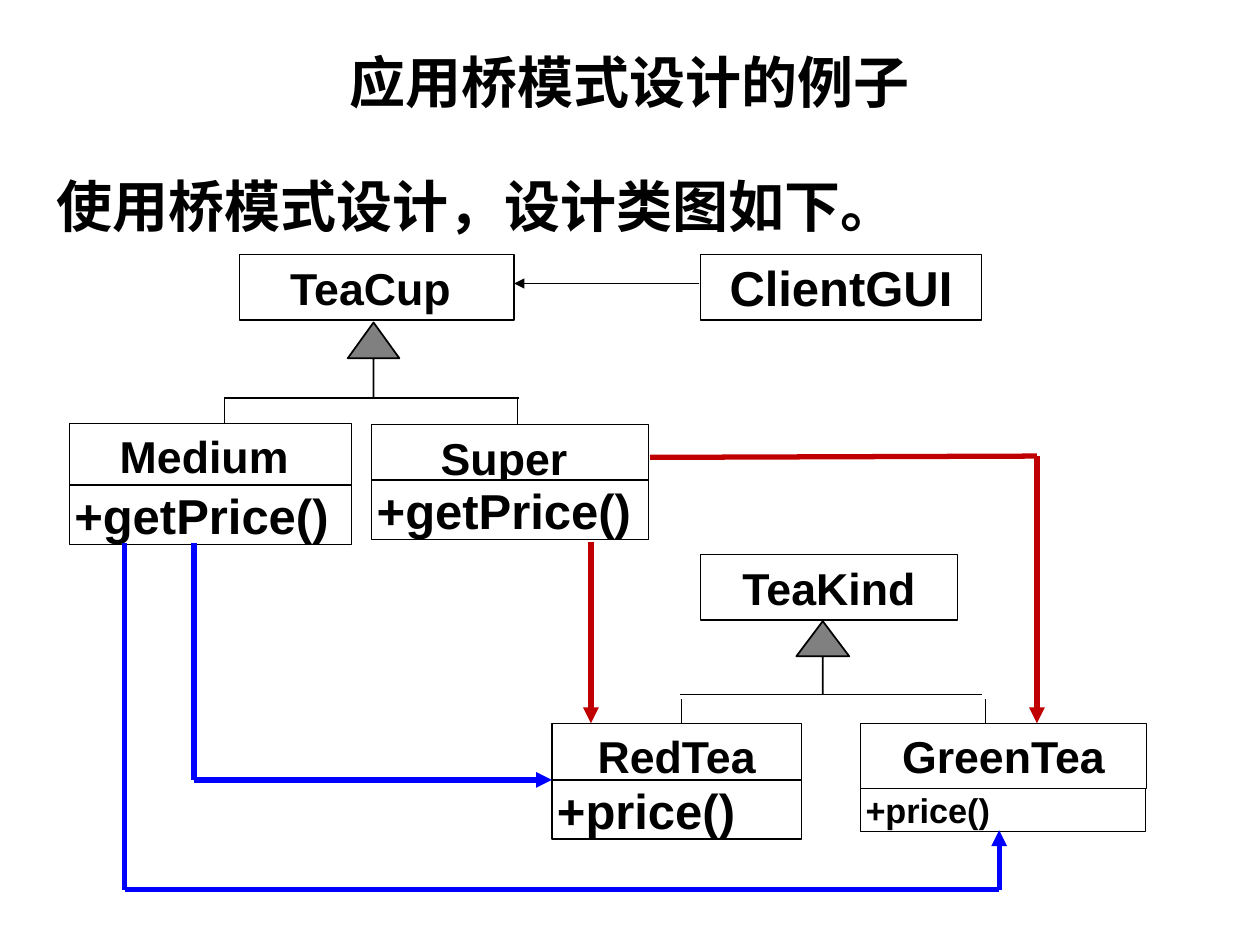
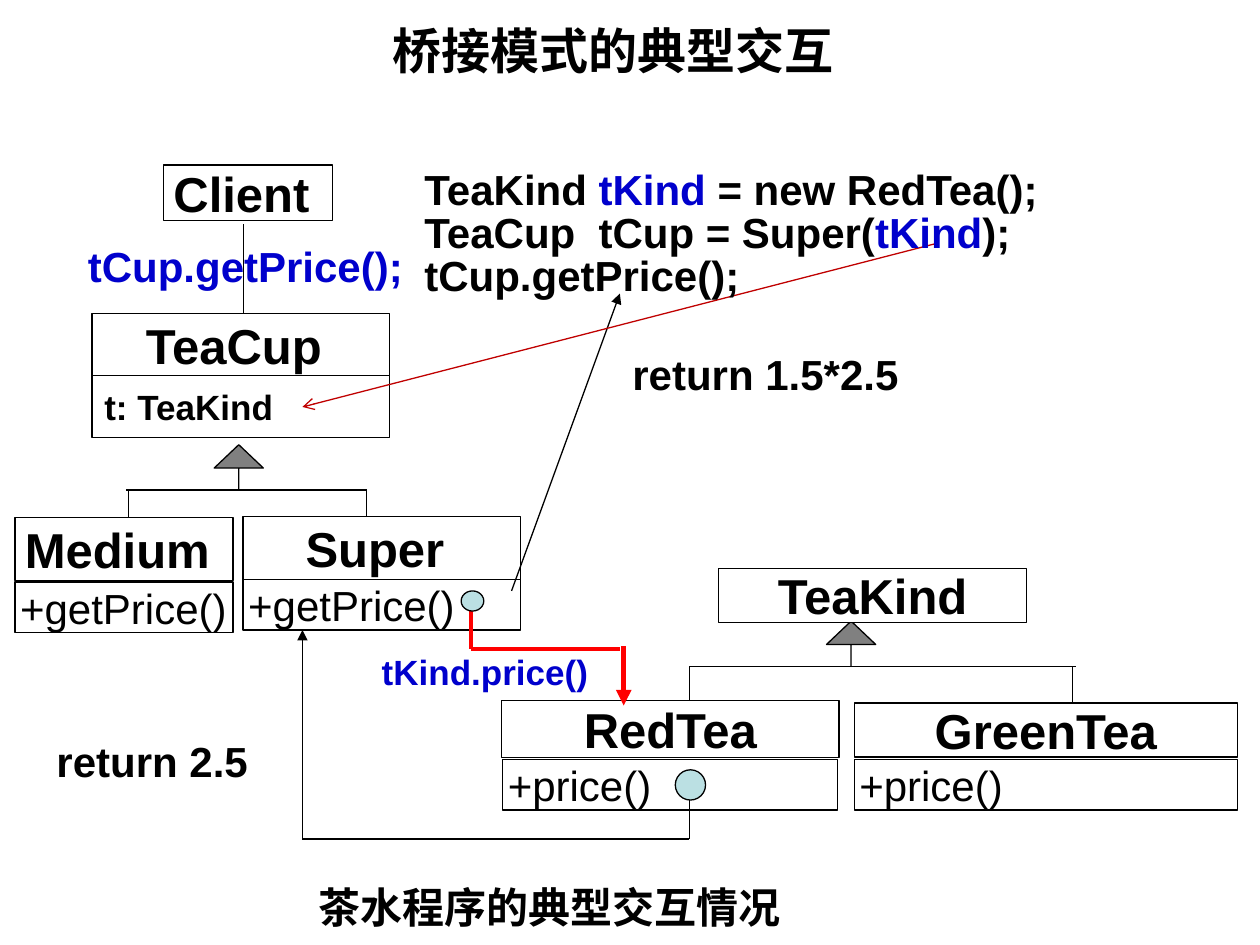
from itertools import pairwise

from lxml.etree import SubElement
from pptx import Presentation
from pptx.dml.color import RGBColor
from pptx.enum.shapes import MSO_CONNECTOR, MSO_SHAPE
from pptx.enum.text import MSO_ANCHOR, PP_ALIGN
from pptx.oxml.ns import qn
from pptx.util import Inches, Pt

BLACK, WHITE, GREY, PALE = "000000", "FFFFFF", "808080", "BBE0E3"
BLUE, NAVY, DARK_RED, RED = "0000FF", "0000CC", "C00000", "FF0000"
LATIN, CJK = "Arial", "Noto Sans CJK SC"

# Text formats: size, bold, align, anchor, insets (side, top), wrap
BASE = dict(size=24, bold=True, align=PP_ALIGN.LEFT, anchor=MSO_ANCHOR.TOP,
            insets=(0.1, 0.05), wrap=True, color=BLACK, font=LATIN, spacing=1.0)
CENTER = dict(align=PP_ALIGN.CENTER, anchor=MSO_ANCHOR.MIDDLE)
METHOD = dict(anchor=MSO_ANCHOR.MIDDLE, insets=(0.04, 0))
DESIGN_HEAD = dict(CENTER, size=25.5, insets=(0.05, 0.03))
DESIGN_METHOD = dict(METHOD, size=28)
CALL_HEAD = dict(CENTER, size=28, wrap=False)
CALL_METHOD = dict(METHOD, bold=False)

# Boxes: text, (left, top, width, height), format
DESIGN = dict(
    trees=[  # arrow frame, tip ratio, arrow line, bar (left, right), drops, drop top, bottom
        ((2.76, 2.56, 0.41, 0.6), 0.693, 1, (1.78, 4.12), (1.78, 4.11), 3.16, 3.5),
        ((6.32, 4.93, 0.42, 0.58), 0.664, 1, (5.4, 7.79), (5.41, 7.82), 5.55, 5.9),
    ],
    under=[],
    boxes=[
        ("TeaCup ", (1.9, 2.02, 2.18, 0.52), DESIGN_HEAD),
        ("ClientGUI", (5.56, 2.02, 2.23, 0.52), dict(DESIGN_HEAD, size=28)),
        ("Super ", (2.95, 3.37, 2.2, 0.52), DESIGN_HEAD),
        ("Medium ", (0.55, 3.36, 2.24, 0.52), DESIGN_HEAD),
        ("TeaKind", (5.56, 4.4, 2.04, 0.52), DESIGN_HEAD),
        ("RedTea", (4.38, 5.74, 1.98, 0.52), DESIGN_HEAD),
        ("GreenTea", (6.83, 5.74, 2.27, 0.52), DESIGN_HEAD),
        ("+getPrice()", (0.55, 3.85, 2.24, 0.47), DESIGN_METHOD),
        ("+getPrice()", (2.95, 3.81, 2.2, 0.47), DESIGN_METHOD),
        ("+price()", (4.38, 6.19, 1.98, 0.47), DESIGN_METHOD),
        ("+price()", (6.83, 6.26, 2.26, 0.34), dict(METHOD, size=19.6)),
    ],
    paths=[  # points, colour, width, arrowhead at the last point
        ([(5.55, 2.25), (4.08, 2.25)], BLACK, 0.75, "triangle"),
        ([(1.54, 4.31), (1.54, 6.19), (4.38, 6.19)], BLUE, 3, "triangle"),
        ([(0.99, 4.31), (0.99, 7.06), (7.93, 7.06), (7.93, 6.59)], BLUE, 3, "triangle"),
        ([(5.16, 3.63), (8.23, 3.62), (8.23, 5.74)], DARK_RED, 3, "triangle"),
        ([(4.69, 4.3), (4.69, 5.74)], DARK_RED, 3, "triangle"),
    ],
    dots=[],
    texts=[
        ("应用桥模式设计的例子", (0.5, 0.3, 9, 0.69), dict(CENTER, size=32)),
        ("使用桥模式设计，设计类图如下。", (0.35, 1.31, 6.85, 0.64), dict(size=32, font=CJK)),
    ],
)

CODE = [
    [("TeaKind ", BLACK), ("tKind", NAVY), (" = new RedTea();", BLACK)],
    [("TeaCup  tCup = Super(", BLACK), ("tKind", NAVY), (");", BLACK)],
    [("tCup.getPrice();", BLACK)],
]

INTERACTION = dict(
    trees=[
        ((1.7, 3.53, 0.39, 0.36), 0.515, 0.75, (1, 2.91), (1.02, 2.91), 3.9, 4.15),
        ((6.56, 4.93, 0.39, 0.36), 0.515, 0.75, (5.47, 8.54), (5.47, 8.51), 5.29, 5.58),
    ],
    under=[([(1.93, 1.78), (1.93, 2.88)], BLACK, 0.75, "triangle")],
    boxes=[
        ("Client ", (1.3, 1.31, 1.34, 0.44), CALL_HEAD),
        ("TeaKind", (5.7, 4.51, 2.45, 0.43), CALL_HEAD),
        ("RedTea", (3.98, 5.56, 2.68, 0.45), CALL_HEAD),
        ("GreenTea", (6.78, 5.58, 3.04, 0.43), CALL_HEAD),
        ("TeaCup ", (0.73, 2.49, 2.36, 0.49), CALL_HEAD),
        ("t: TeaKind", (0.73, 2.98, 2.36, 0.49), dict(size=20, anchor=MSO_ANCHOR.MIDDLE)),
        ("Super ", (1.93, 4.1, 2.2, 0.5), CALL_HEAD),
        ("Medium ", (0.12, 4.11, 1.73, 0.5), CALL_HEAD),
        ("+getPrice()", (0.12, 4.62, 1.73, 0.4), CALL_METHOD),
        ("+getPrice()", (1.93, 4.6, 2.2, 0.4), CALL_METHOD),
        ("+price()", (3.99, 6.03, 2.66, 0.4), CALL_METHOD),
        ("+price()", (6.78, 6.03, 3.04, 0.4), CALL_METHOD),
    ],
    paths=[
        ([(3.74, 4.77), (3.74, 5.15), (4.92, 5.15)], RED, 2.5, None),
        ([(4.95, 5.13), (4.95, 5.6)], RED, 3, "triangle"),
        ([(5.47, 6.27), (5.47, 6.66), (2.4, 6.66), (2.4, 5)], BLACK, 0.75, "triangle"),
        ([(4.06, 4.69), (4.92, 2.33)], BLACK, 0.75, "triangle"),
        ([(7.44, 1.93), (2.4, 3.23)], DARK_RED, 0.75, "arrow"),
    ],
    dots=[(3.66, 4.69, 0.18, 0.16), (5.36, 6.11, 0.24, 0.24)],
    texts=[
        ("桥接模式的典型交互", (3.02, 0.11, 3.94, 0.57), dict(size=28, font=CJK)),
        (CODE, (3.27, 1.31, 6.42, 1.12), dict(spacing=0.85)),
        ("tCup.getPrice();", (0.6, 1.86, 2.7, 0.5), dict(color=NAVY, wrap=False)),
        ("tKind.price()", (3.03, 5.16, 1.73, 0.33), dict(size=20, color=NAVY, insets=(0, 0))),
        ("return 2.5", (0.35, 5.79, 1.97, 0.5), {}),
        ("return 1.5*2.5", (4.92, 2.72, 2.52, 0.5), {}),
        ("茶水程序的典型交互情况", (0.9, 7, 6.93, 0.4),
         dict(align=PP_ALIGN.CENTER, insets=(0, 0))),
    ],
)


def rgb(color):
    return RGBColor.from_string(color)


def inches(values):
    return [Inches(value) for value in values]


def set_all(target, values):
    for name, value in values.items():
        setattr(target, name, value)


def write(box, content, changes):
    """Fill a box with one string, or with lines of (text, colour) spans."""
    style = {**BASE, **changes}
    lines = [[(content, style["color"])]] if isinstance(content, str) else content
    side, top = inches(style["insets"])
    frame = box.text_frame
    set_all(frame, dict(word_wrap=style["wrap"], vertical_anchor=style["anchor"],
                        margin_left=side, margin_right=side,
                        margin_top=top, margin_bottom=top))
    for number, line in enumerate(lines):
        para = frame.add_paragraph() if number else frame.paragraphs[0]
        set_all(para, dict(alignment=style["align"], line_spacing=style["spacing"]))
        for text, color in line:
            span = para.add_run()
            span.text = text
            set_all(span.font, dict(size=Pt(style["size"]), bold=style["bold"],
                                    name=style["font"]))
            span.font.color.rgb = rgb(color)
            SubElement(span.font._element, qn("a:ea"), typeface=CJK)


def add_outlined(page, kind, frame, fill, width=0.75):
    shape = page.shapes.add_shape(kind, *inches(frame))
    shape.shadow.inherit = False
    shape.fill.solid()
    shape.fill.fore_color.rgb = rgb(fill)
    shape.line.color.rgb = rgb(BLACK)
    shape.line.width = Pt(width)
    return shape


def add_path(page, points, color=BLACK, width=0.75, head=None):
    """Join the points with straight lines; the last one carries the arrowhead."""
    for start, end in pairwise(points):
        line = page.shapes.add_connector(MSO_CONNECTOR.STRAIGHT, *inches(start + end))
        line.line.color.rgb = rgb(color)
        line.line.width = Pt(width)
        if head and end == points[-1]:
            SubElement(line.line._get_or_add_ln(), qn("a:tailEnd"), type=head)
        SubElement(line._element.spPr, qn("a:effectLst"))


def add_tree(page, frame, tip, width, bar, drops, drop_top, bottom):
    """Draw an inheritance arrow standing on a bar with a drop to each subclass."""
    bar_y = frame[1] + frame[3]
    add_path(page, [(bar[0], bar_y), (bar[1], bar_y)])
    for x in drops:
        add_path(page, [(x, drop_top), (x, bottom)])
    arrow = add_outlined(page, MSO_SHAPE.UP_ARROW, frame, GREY, width)
    arrow.adjustments[0], arrow.adjustments[1] = 0, tip


def draw(page, diagram):
    for tree in diagram["trees"]:
        add_tree(page, *tree)
    for path in diagram["under"]:
        add_path(page, *path)
    for text, frame, style in diagram["boxes"]:
        write(add_outlined(page, MSO_SHAPE.RECTANGLE, frame, WHITE), text, style)
    for path in diagram["paths"]:
        add_path(page, *path)
    for frame in diagram["dots"]:
        add_outlined(page, MSO_SHAPE.OVAL, frame, PALE)
    for text, frame, style in diagram["texts"]:
        write(page.shapes.add_textbox(*inches(frame)), text, style)


def main():
    deck = Presentation()
    set_all(deck, dict(slide_width=Inches(10), slide_height=Inches(7.5)))
    for diagram in (DESIGN, INTERACTION):
        draw(deck.slides.add_slide(deck.slide_layouts[6]), diagram)
    deck.save("out.pptx")


if __name__ == "__main__":
    main()
